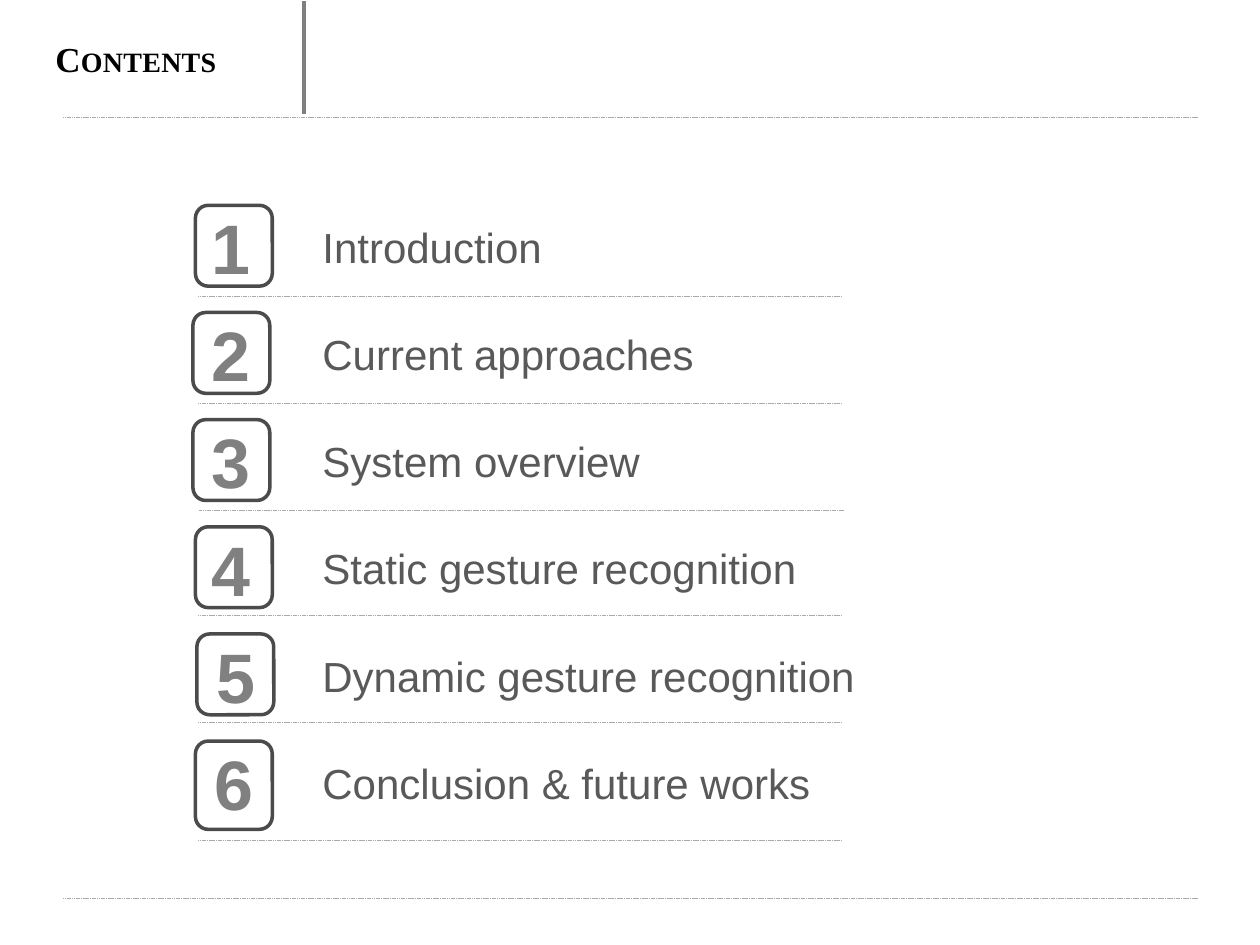
from dataclasses import dataclass

from pptx import Presentation
from pptx import util as u
from pptx.dml.color import RGBColor
from pptx.enum import dml, shapes, text
from pptx.oxml.ns import qn
from lxml import etree

PITCH = 2.16        # distance between entries, in cm
FIRST_TOP = 4.34    # top of the first label, in cm


@dataclass
class Entry:
    label: str
    width: float
    badge_left: float = 3.94
    badge_height: float = 1.63
    number_left: float = 4.01
    rule_drop: float = 1.63
    rule_left: float = 3.99


ENTRIES = [
    Entry("Introduction", 4.98),
    Entry("Current approaches", 8.08, badge_left=3.89),
    Entry("System overview", 6.98, badge_left=3.89, rule_left=4.02),
    Entry("Static gesture recognition", 10.16, rule_drop=1.59),
    Entry("Dynamic gesture recognition", 11.35, badge_left=3.97,
          number_left=4.11, rule_drop=1.57),
    Entry("Conclusion & future works", 10.44, badge_height=1.78,
          number_left=4.06, rule_drop=1.8),
]


def colour(value: str) -> RGBColor:
    return RGBColor.from_string(value)


def place(shape, left: float, top: float, width: float, height: float) -> None:
    shape.left, shape.top = u.Cm(left), u.Cm(top)
    shape.width, shape.height = u.Cm(width), u.Cm(height)


def write(shape, words: str, *, size: float, ink: str, font: str = "Arial",
          bold: bool = False, align=text.PP_ALIGN.LEFT, wrap: bool = False):
    frame = shape.text_frame
    frame.word_wrap = wrap
    frame.auto_size = text.MSO_AUTO_SIZE.NONE
    paragraph = frame.paragraphs[0]
    paragraph.alignment = align
    run = paragraph.add_run()
    run.text = words
    run.font.name, run.font.size, run.font.bold = font, u.Pt(size), bold
    run.font.color.rgb = colour(ink)
    return run


def add_line(slide, x1: float, y1: float, x2: float, y2: float, *,
             ink: str = "AAAAAA", width: float = 0.25, dashed: bool = True) -> None:
    line = slide.shapes.add_connector(
        shapes.MSO_CONNECTOR.STRAIGHT, u.Cm(x1), u.Cm(y1), u.Cm(x2), u.Cm(y2))
    line.line.color.rgb = colour(ink)
    line.line.width = u.Pt(width)
    if dashed:
        line.line.dash_style = dml.MSO_LINE.SQUARE_DOT
    etree.SubElement(line._element.spPr, qn("a:effectLst"))


def add_text(slide, words: str, left: float, top: float, width: float,
             height: float, **style) -> None:
    box = slide.shapes.add_textbox(0, 0, 0, 0)
    place(box, left, top, width, height)
    write(box, words, **style)


def add_entry(slide, index: int, entry: Entry) -> None:
    top = FIRST_TOP + PITCH * index
    badge = slide.shapes.add_shape(
        shapes.MSO_SHAPE.ROUNDED_RECTANGLE, 0, 0, 0, 0)
    place(badge, entry.badge_left, top - 0.2, 1.55, entry.badge_height)
    badge.shadow.inherit = False
    badge.fill.solid()
    badge.fill.fore_color.rgb = colour("FFFFFF")
    badge.line.color.rgb = colour("4B4B4B")
    badge.line.width = u.Pt(2)

    rule_y = top + entry.rule_drop
    add_line(slide, entry.rule_left, rule_y, entry.rule_left + 12.99, rule_y)
    add_text(slide, str(index + 1), entry.number_left, top - 0.34, 1.3, 1.96,
             size=40, ink="808080", bold=True, align=text.PP_ALIGN.CENTER)
    add_text(slide, entry.label, 6.25, top, entry.width, 1.27,
             size=24, ink="595959")


def main() -> None:
    deck = Presentation()
    deck.slide_width, deck.slide_height = u.Cm(25.4), u.Cm(19.05)
    slide = deck.slides.add_slide(deck.slide_layouts[5])

    # Heading in small capitals
    title = slide.shapes.title
    place(title, 0.86, 0.61, 5.18, 1.12)
    heading = write(title, "Contents", size=20, ink="000000",
                    font="Times New Roman", bold=True, wrap=True)
    heading.font._element.set("cap", "small")
    heading.font._element.set("spc", "20")

    # Page rules and the bar beside the heading
    for y in (2.36, 18.11):
        add_line(slide, 1.27, y, 24.15, y)
    add_line(slide, 6.13, 0.03, 6.13, 2.29, ink="7F7F7F", width=2.25, dashed=False)

    # Numbered contents
    for index, entry in enumerate(ENTRIES):
        add_entry(slide, index, entry)

    deck.save("out.pptx")


if __name__ == "__main__":
    main()
